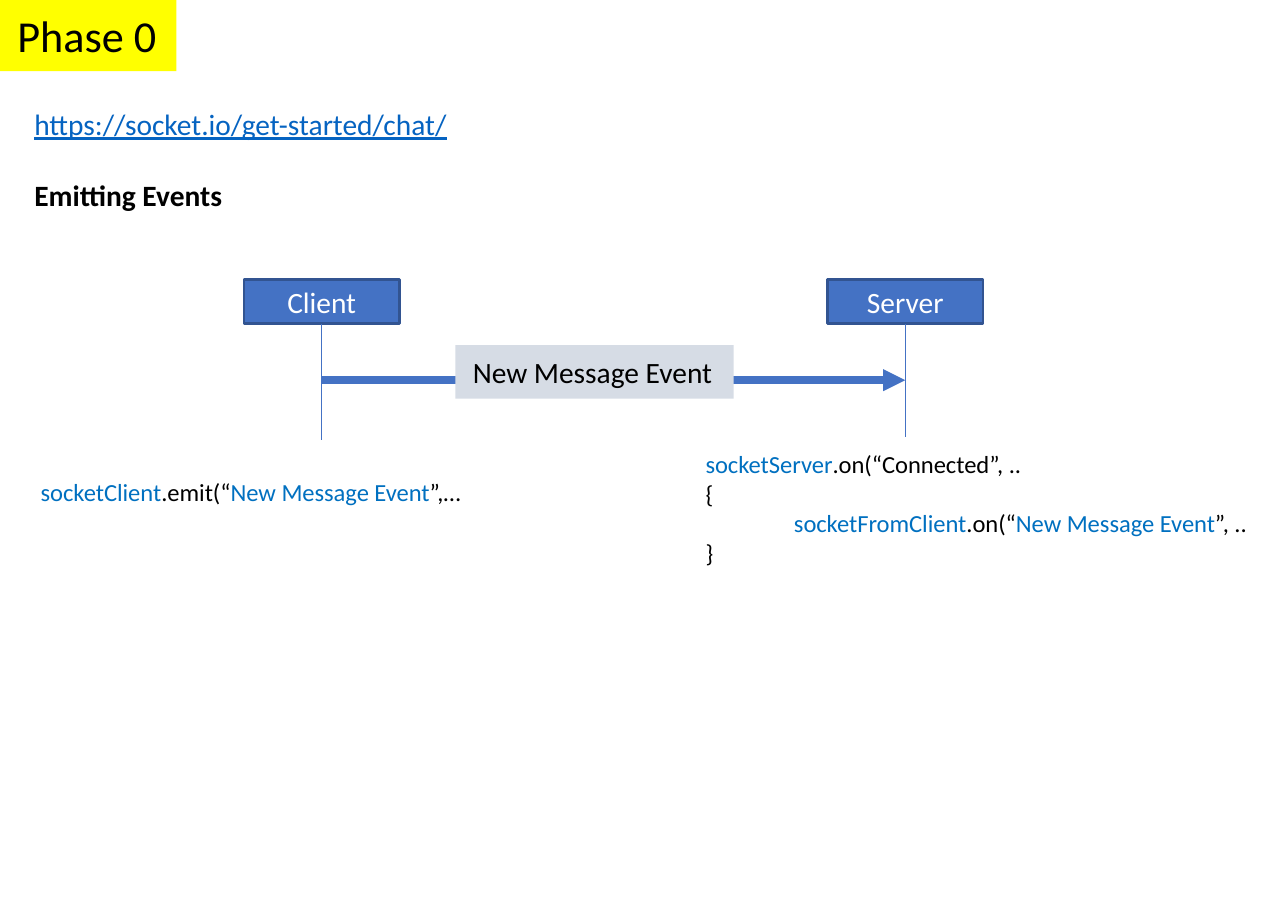
from pptx import Presentation
from pptx.dml.color import RGBColor
from pptx.enum import shapes, text
from pptx.oxml import ns, xmlchemy
from pptx.util import Pt

BLACK = RGBColor(0, 0, 0)
WHITE = RGBColor(255, 255, 255)
BLUE = RGBColor(0x44, 0x72, 0xC4)
NAVY = RGBColor(0x32, 0x54, 0x91)
CODE = RGBColor(0x00, 0x70, 0xC0)
LINK = RGBColor(0x05, 0x63, 0xC1)
GREY = RGBColor(0xD6, 0xDC, 0xE5)
YELLOW = RGBColor(255, 255, 0)

# Each text is a list of lines, each line a list of (words, colour) runs.
INTRO = [[("https://socket.io/get-started/chat/", LINK)], [("Emitting Events", BLACK)]]
EVENT = "New Message Event"
EMIT = [[("socketClient", CODE), (".emit(“", BLACK), (EVENT, CODE), ("”,…", BLACK)]]
LISTEN = [
    [("socketServer", CODE), (".on(“Connected”, ..", BLACK)],
    [("{", BLACK)],
    [("socketFromClient", CODE), (".on(“", BLACK), (EVENT, CODE), ("”, ..", BLACK)],
    [("}", BLACK)],
]

# Actors: name, centre x, foot of the lifeline
ACTORS = [("Client", 131, 179.3), ("Server", 368.6, 177.8)]
TOP, WIDE, HIGH = 113.8, 63.4, 18
ARROW = 154.8

deck = Presentation()
deck.slide_width, deck.slide_height = Pt(524.41), Pt(368.5)
slide = deck.slides.add_slide(deck.slide_layouts[6])


def write(frame, lines, size):
    """Fill a text frame with lines of coloured runs."""
    for i, line in enumerate(lines):
        para = frame.paragraphs[0] if i == 0 else frame.add_paragraph()
        para.alignment = text.PP_ALIGN.LEFT
        for words, color in line:
            run = para.add_run()
            run.text = words
            font = run.font
            font.name, font.size = "Calibri", Pt(size)
            font.color.rgb = color


def fit(frame):
    """Let the shape grow with its unwrapped text."""
    frame.word_wrap = False
    frame.auto_size = text.MSO_AUTO_SIZE.SHAPE_TO_FIT_TEXT


def label(box, lines, size):
    """Add a plain text box and return its paragraphs."""
    frame = slide.shapes.add_textbox(*map(Pt, box)).text_frame
    write(frame, lines, size)
    fit(frame)
    return frame.paragraphs


def block(box, fill, words, size, color, edge=None):
    """Add a filled rectangle with one line of text and return its frame."""
    rect = slide.shapes.add_shape(shapes.MSO_SHAPE.RECTANGLE, *map(Pt, box))
    rect.shadow.inherit = False
    rect.fill.solid()
    rect.fill.fore_color.rgb = fill
    if edge is None:
        rect.line.fill.background()
    else:
        rect.line.color.rgb, rect.line.width = edge, Pt(1)
    frame = rect.text_frame
    frame.vertical_anchor = text.MSO_ANCHOR.TOP
    write(frame, [[(words, color)]], size)
    return frame


def join(x1, y1, x2, y2, width):
    """Add a straight blue line."""
    line = slide.shapes.add_connector(
        shapes.MSO_CONNECTOR.STRAIGHT, *map(Pt, (x1, y1, x2, y2)))
    line.line.color.rgb, line.line.width = BLUE, Pt(width)
    line._element.spPr.append(xmlchemy.OxmlElement("a:effectLst"))
    return line


def main():
    link, head = label((6.9, 39.6, 185, 51.1), INTRO, 12)
    link.runs[0].font.underline = True
    head.runs[0].font.bold = True
    head.space_before = Pt(14.5)

    for name, mid, foot in ACTORS:
        box = (mid - WIDE / 2, TOP, WIDE, HIGH)
        frame = block(box, BLUE, name, 12, WHITE, NAVY)
        frame.vertical_anchor = text.MSO_ANCHOR.MIDDLE
        frame.margin_left = frame.margin_right = Pt(2.9)
        frame.margin_top = frame.margin_bottom = Pt(1.4)
        frame.paragraphs[0].alignment = text.PP_ALIGN.CENTER

    for name, mid, foot in ACTORS:
        join(mid, TOP + HIGH, mid, foot, 0.5)

    arrow = join(ACTORS[0][1], ARROW, ACTORS[1][1], ARROW, 3)
    tip = xmlchemy.OxmlElement("a:tailEnd")
    tip.set("type", "triangle")
    arrow._element.spPr.find(ns.qn("a:ln")).append(tip)
    fit(block((185.4, 140.5, 113.3, 21.8), GREY, EVENT, 12, BLACK))

    label((9.5, 190.6, 189.4, 19.4), EMIT, 10)
    listen = label((280.2, 179.4, 239.8, 55.4), LISTEN, 10)
    listen[2]._p.get_or_add_pPr().set("marL", str(Pt(36)))

    fit(block((0, 0, 71.8, 29), YELLOW, "Phase 0", 18, BLACK))
    deck.save("out.pptx")


if __name__ == "__main__":
    main()
